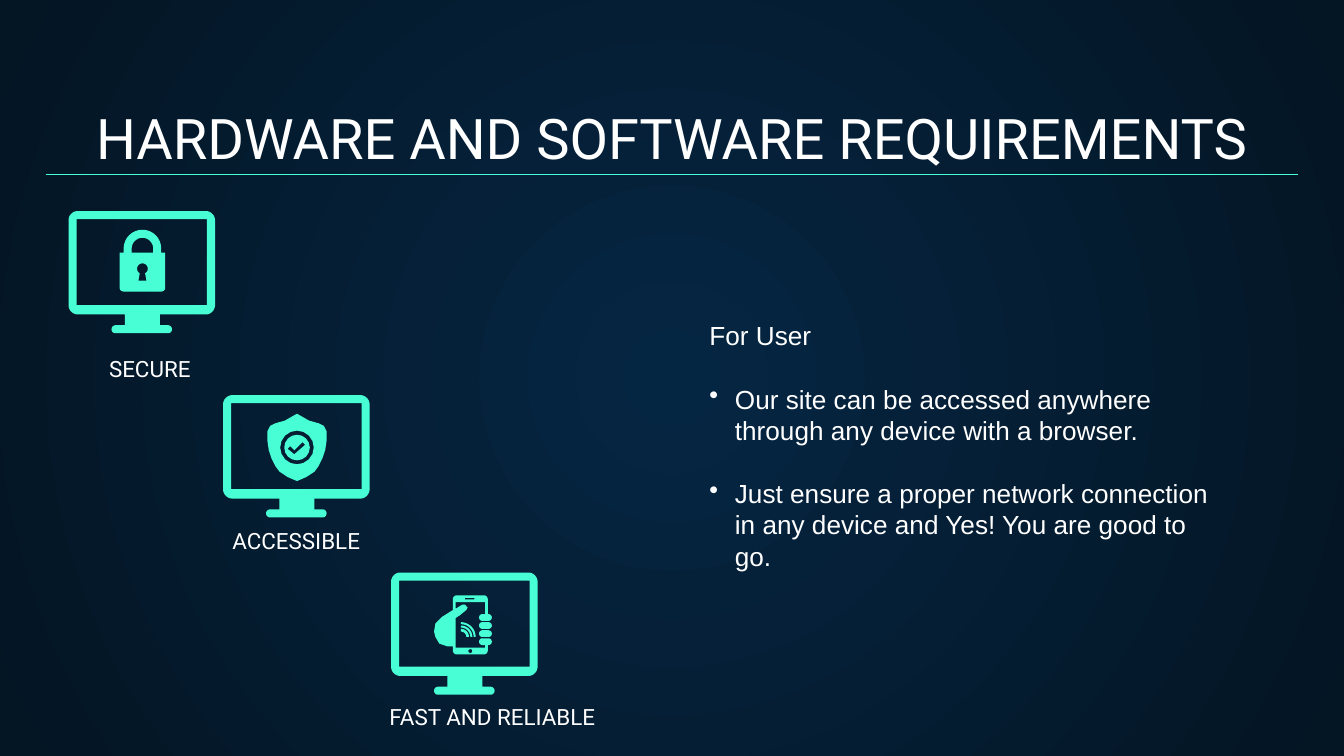
"""Build the hardware and software requirements slide."""
from math import cos, radians, sin

from lxml import etree
from pptx import Presentation
from pptx import util as u
from pptx.dml.color import RGBColor
from pptx.enum import shapes, text
from pptx.oxml import parse_xml
from pptx.oxml.ns import nsdecls, qn

WIDTH = 10
HEIGHT = WIDTH * 9 / 16
MARGIN = 0.34
RULE_Y = 1.3
MINT, WHITE = "48FFD5", "FFFFFF"
GLOW, EDGE = "052643", "041523"

TITLE = "HARDWARE AND SOFTWARE REQUIREMENTS"
AUDIENCE = "For User"
POINTS = [
    "Our site can be accessed anywhere through any device with a browser.",
    "Just ensure a proper network connection in any device and Yes! You are good to go.",
]


def arc(x, y, radius, start, end):
    """Return points along an arc, with angles clockwise from the right."""
    steps = 16
    angles = [radians(start + (end - start) * i / steps) for i in range(steps + 1)]
    return [(x + radius * cos(a), y + radius * sin(a)) for a in angles]


def circle(x, y, radius):
    """Return the points of a circle."""
    return arc(x, y, radius, 0, 360)


def rectangle(left, top, right, bottom):
    """Return the corners of a rectangle."""
    return [(left, top), (right, top), (right, bottom), (left, bottom)]


def finger(y):
    """Return a fingertip with round ends."""
    return arc(68, y, 2.5, 90, 270) + arc(72.5, y, 2.5, -90, 90)


def wave(inner, outer):
    """Return one quarter ring of the signal."""
    return arc(52, 48, outer, -90, 0) + arc(52, 48, inner, 0, -90)


MONITOR = [
    arc(7, 7, 7, 180, 270) + arc(102, 7, 7, 270, 360) + arc(102, 70, 7, 0, 90)
    + [(68, 77), (68, 85)] + arc(74, 88, 3, -90, 90) + arc(35, 88, 3, 90, 270)
    + [(42, 85), (42, 77)] + arc(7, 70, 7, 90, 180),
    rectangle(6, 6, 103, 70),
]
LOCK = [
    arc(55, 28, 14, 180, 360) + [(69, 31), (72, 31)] + arc(69, 57, 3, 0, 90)
    + arc(41, 57, 3, 90, 180) + [(38, 31), (41, 31)],
    arc(55, 28, 8, 180, 360) + [(63, 31), (47, 31)],
    arc(55, 43, 4, 120, 420) + [(58, 52), (52, 52)],
]
SHIELD_LEFT = [(55, 14), (53, 15), (46, 19), (39, 21), (35, 23), (33, 27), (33, 34),
               (34, 41), (36, 47), (39, 53), (42, 57), (48, 61), (55, 64)]
SHIELD = [
    SHIELD_LEFT + [(110 - x, y) for x, y in reversed(SHIELD_LEFT)],
    circle(55, 39, 12.5),
]
BADGE = [
    circle(55, 39, 9.5),
    [(59, 35), (61, 37), (53, 44), (48, 40), (50, 38), (53, 41)],
]
PHONE = [
    arc(49, 20, 3, 180, 270) + arc(69, 20, 3, 270, 360) + [(72, 31)]
    + arc(72.5, 33.5, 2.5, -90, 90) + arc(68, 33.5, 2.5, 90, 270)
    + [(70, 31), (70, 22), (48, 22), (48, 27), (53, 24), (55, 24), (57, 26), (56, 28),
       (51, 32), (48, 34), (48, 56), (70, 56), (70, 54)]
    + arc(68, 51.5, 2.5, 90, 270) + arc(72.5, 51.5, 2.5, -90, 90)
    + [(72, 54)] + arc(69, 58, 3, 0, 90) + arc(49, 58, 3, 90, 180)
    + [(46, 55), (42, 55), (36, 53), (33, 48), (32, 44), (33, 38), (38, 33), (46, 28)],
    finger(39.5), finger(45.5),
    wave(4, 6), wave(7, 8.5), wave(9.5, 11),
    rectangle(55, 19, 62, 20), circle(59, 58.5, 1.5),
]

FEATURES = [
    ("SECURE", (0.51, 1.57), (-0.02, 2.73), [LOCK]),
    ("ACCESSIBLE", (1.66, 2.94), (1.07, 4.01), [SHIELD, BADGE]),
    ("FAST AND RELIABLE", (2.91, 4.26), (2.53, 5.32), [PHONE]),
]


def color(value):
    """Turn a hex string into a colour."""
    return RGBColor.from_string(value)


def place(box, left, top, width, height):
    """Set a shape's position and size in inches."""
    box.left, box.top, box.width, box.height = map(u.Inches, (left, top, width, height))


def write(box, lines, size, font, align, anchor):
    """Fill a box with paragraphs of one style."""
    frame = box.text_frame
    frame.word_wrap = True
    frame.auto_size = text.MSO_AUTO_SIZE.NONE
    frame.vertical_anchor = anchor
    frame.margin_left = frame.margin_right = u.Inches(0.1)
    frame.margin_top = frame.margin_bottom = u.Inches(0.1)
    frame.text = "\n".join(lines)
    for para in frame.paragraphs:
        para.alignment = align
        para.font.size = u.Pt(size)
        para.font.name = font
        para.font.color.rgb = color(WHITE)
    return frame.paragraphs


def write_heading(box, line, size):
    """Fill a box with one centred heading."""
    return write(box, [line], size, "Roboto", text.PP_ALIGN.CENTER,
                 text.MSO_ANCHOR.BOTTOM)


def add_bullet(para):
    """Give a paragraph a hanging bullet."""
    props = para._p.get_or_add_pPr()
    indent = u.Inches(0.19)
    props.set("marL", str(indent))
    props.set("indent", str(-indent))
    etree.SubElement(props, qn("a:buChar")).set("char", "•")


def draw_icon(page, corner, outlines):
    """Draw outlines, in hundredths of an inch, as one filled shape."""
    detail = 100
    builder = None
    for outline in outlines:
        first, *rest = [(x * detail, y * detail) for x, y in outline]
        if builder is None:
            builder = page.shapes.build_freeform(*first, scale=u.Inches(0.01) / detail)
        else:
            builder.move_to(*first)
        builder.add_line_segments(rest, close=True)
    icon = builder.convert_to_shape(*map(u.Inches, corner))
    icon.shadow.inherit = False
    icon.fill.solid()
    icon.fill.fore_color.rgb = color(MINT)
    icon.line.fill.background()


def paint_background(page):
    """Fill the page with a glow from its centre."""
    page.background.fill.solid()
    props = page.background._cSld.bg.bgPr
    props.replace(props[0], parse_xml(
        f'<a:gradFill {nsdecls("a")} rotWithShape="1"><a:gsLst>'
        f'<a:gs pos="0"><a:srgbClr val="{GLOW}"/></a:gs>'
        f'<a:gs pos="100000"><a:srgbClr val="{EDGE}"/></a:gs></a:gsLst>'
        '<a:path path="circle"><a:fillToRect l="50000" t="50000" r="50000" b="50000"/>'
        '</a:path></a:gradFill>'))


def main():
    """Lay out the slide and save it."""
    deck = Presentation()
    deck.slide_width, deck.slide_height = u.Inches(WIDTH), u.Inches(HEIGHT)
    page = deck.slides.add_slide(deck.slide_layouts[5])
    paint_background(page)

    title = page.shapes.title
    place(title, MARGIN, 0.71, WIDTH - 2 * MARGIN, 0.66)
    write_heading(title, TITLE, 30)

    rule = page.shapes.add_connector(
        shapes.MSO_CONNECTOR.STRAIGHT, u.Inches(MARGIN), u.Inches(RULE_Y),
        u.Inches(WIDTH - MARGIN), u.Inches(RULE_Y))
    rule.line.color.rgb = color(MINT)
    rule.line.width = u.Pt(0.75)
    etree.SubElement(rule._element.spPr, qn("a:effectLst"))

    for name, corner, label_corner, symbols in FEATURES:
        for outlines in [MONITOR, *symbols]:
            draw_icon(page, corner, outlines)
        label = page.shapes.add_textbox(0, 0, 0, 0)
        place(label, *label_corner, 2.27, 0.21)
        write_heading(label, name, 12)

    body = page.shapes.add_textbox(0, 0, 0, 0)
    place(body, 5.18, 2.28, 4.03, 0.55)
    paras = write(body, [AUDIENCE, *POINTS], 14, "Arial", text.PP_ALIGN.LEFT,
                  text.MSO_ANCHOR.TOP)
    for para in paras[1:]:
        para.space_before = u.Pt(17)
        add_bullet(para)

    deck.save("out.pptx")


if __name__ == "__main__":
    main()
